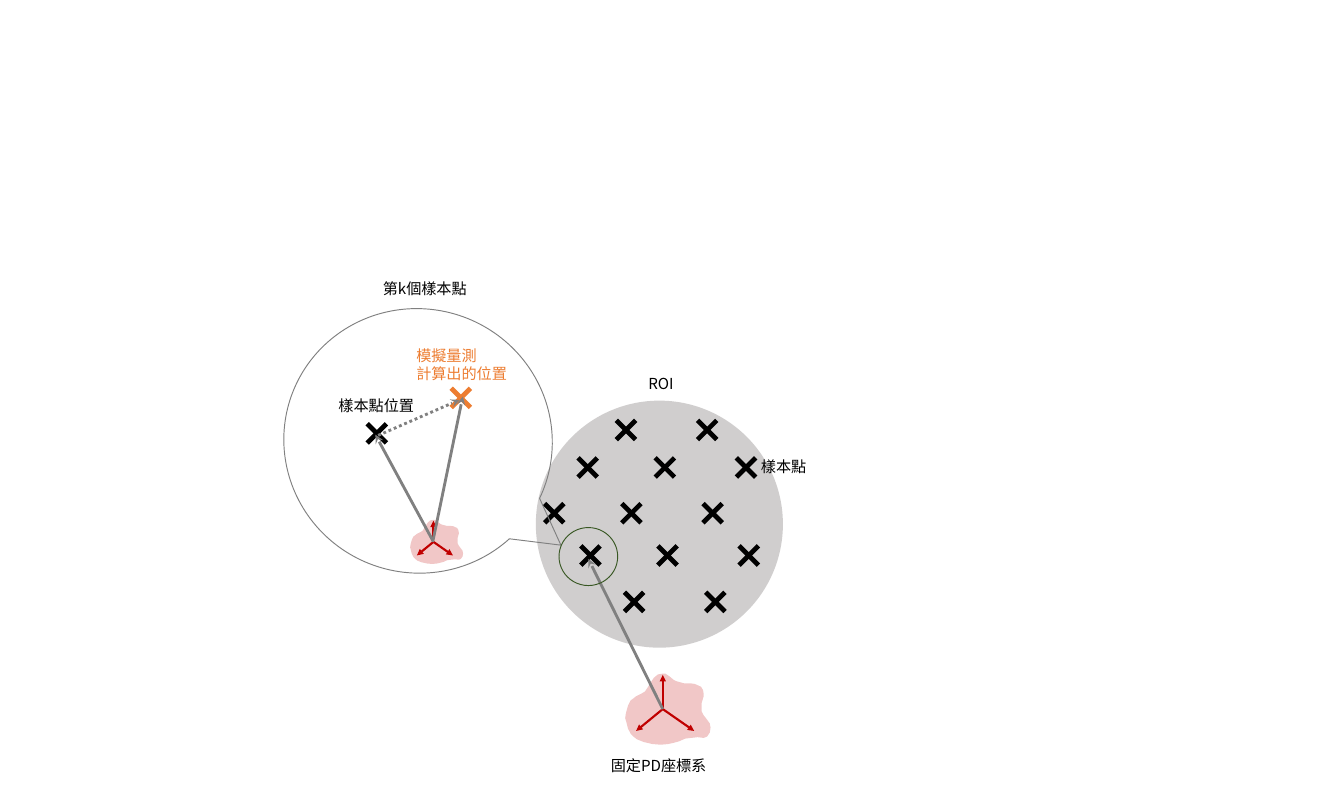
"""Draw the ROI sample point diagram with its magnified k-th sample point."""
import dataclasses
import math
import typing

import lxml.etree
import pptx
import pptx.dml.color
import pptx.enum.dml
import pptx.enum.shapes
import pptx.enum.text
import pptx.oxml.ns
import pptx.util

Inches = pptx.util.Inches
Preset = pptx.enum.shapes.MSO_SHAPE
Point = tuple[float, float]


@dataclasses.dataclass(frozen=True)
class Theme:
    """Colours, font and sizes of the diagram."""
    font: str = "Noto Sans CJK SC"
    text_size: float = 16
    ink: str = "000000"
    roi: str = "D0CECE"
    vector: str = "808080"
    frame: str = "C00000"
    simulated: str = "ED7D31"
    selection: str = "385723"
    outline_width: float = 1
    axis_width: float = 2.25
    vector_width: float = 3
    blob_alpha: int = 22000


@dataclasses.dataclass(frozen=True)
class Label:
    """A text label with one line per paragraph."""
    lines: tuple[str, ...]
    box: tuple[float, float, float, float]
    color: str


@dataclasses.dataclass(frozen=True)
class Arrow:
    """A straight arrow between two points."""
    start: Point
    end: Point
    color: str
    width: float
    head: str
    dotted: bool = False


@dataclasses.dataclass(frozen=True)
class SampleRow:
    """A row of sample points placed around its middle column."""
    middle: float
    y: float
    columns: tuple[float, ...]


THEME = Theme()
BLOB_TILT = 19.9
BLOB_CENTER = (0.125, 0.065)
BLOB_OUTLINE = (
    (-.01, -.52), (.04, -.52), (.10, -.48), (.16, -.43), (.20, -.41), (.31, -.38),
    (.40, -.38), (.47, -.37), (.56, -.33), (.59, -.28), (.60, -.22), (.60, -.19),
    (.57, -.09), (.57, .03), (.60, .09), (.64, .14), (.69, .21), (.70, .27),
    (.69, .34), (.65, .40), (.60, .42), (.51, .41), (.42, .42), (.33, .43),
    (.24, .47), (.17, .49), (.08, .51), (-.03, .52), (-.15, .51), (-.28, .48),
    (-.38, .44), (-.43, .40), (-.47, .36), (-.51, .28), (-.53, .20), (-.55, .13),
    (-.54, .06), (-.51, -.05), (-.47, -.13), (-.44, -.15), (-.39, -.19), (-.31, -.23),
    (-.26, -.26), (-.22, -.32), (-.17, -.40), (-.13, -.46), (-.07, -.51),
)
AXIS_TIPS = ((0, -0.5), (0.46, 0.32), (-0.39, 0.32))
LEFT, MIDDLE, RIGHT = -1.13, 0, 1.19
SAMPLE_ROWS = (
    SampleRow(9.17, 6.3, (MIDDLE, RIGHT)),
    SampleRow(9.74, 6.85, (MIDDLE, RIGHT, LEFT)),
    SampleRow(9.25, 7.52, (MIDDLE, RIGHT, LEFT)),
    SampleRow(9.78, 8.14, (MIDDLE, RIGHT, LEFT)),
    SampleRow(9.29, 8.82, (MIDDLE, RIGHT)),
)


def rgb(color: str) -> pptx.dml.color.RGBColor:
    """Turn a hex string into a colour."""
    return pptx.dml.color.RGBColor.from_string(color)


def add_child(parent: typing.Any, tag: str, **attributes: str) -> None:
    """Append a DrawingML element."""
    lxml.etree.SubElement(parent, pptx.oxml.ns.qn(tag), attributes)


def paint(shape: typing.Any, fill: str | None = None, line: str | None = None) -> None:
    """Give a shape its fill and outline and no shadow."""
    shape.shadow.inherit = False
    if fill:
        shape.fill.solid()
        shape.fill.fore_color.rgb = rgb(fill)
    else:
        shape.fill.background()
    if line:
        shape.line.color.rgb = rgb(line)
        shape.line.width = pptx.util.Pt(THEME.outline_width)
    else:
        shape.line.fill.background()


def add_preset(shapes: typing.Any, preset: Preset, box: tuple[float, float, float, float],
               fill: str | None = None, line: str | None = None, rotation: float = 0) -> None:
    """Add a painted preset shape."""
    shape = shapes.add_shape(preset, *map(Inches, box))
    shape.rotation = rotation
    paint(shape, fill, line)


def add_label(shapes: typing.Any, label: Label) -> None:
    """Add a text label."""
    frame = shapes.add_textbox(*map(Inches, label.box)).text_frame
    frame.word_wrap = True
    frame.auto_size = pptx.enum.text.MSO_AUTO_SIZE.SHAPE_TO_FIT_TEXT
    for index, line in enumerate(label.lines):
        paragraph = frame.add_paragraph() if index else frame.paragraphs[0]
        run = paragraph.add_run()
        run.text = line
        run.font.size = pptx.util.Pt(THEME.text_size)
        run.font.color.rgb = rgb(label.color)
        run.font.name = THEME.font
        add_child(run._r.get_or_add_rPr(), "a:ea", typeface=THEME.font)


def add_arrow(shapes: typing.Any, arrow: Arrow) -> None:
    """Add a straight arrow."""
    connector = shapes.add_connector(pptx.enum.shapes.MSO_CONNECTOR.STRAIGHT,
                                     *map(Inches, arrow.start + arrow.end))
    connector.line.color.rgb = rgb(arrow.color)
    connector.line.width = pptx.util.Pt(arrow.width)
    if arrow.dotted:
        connector.line.dash_style = pptx.enum.dml.MSO_LINE.ROUND_DOT
    properties = connector._element.spPr
    add_child(properties.find(pptx.oxml.ns.qn("a:ln")), "a:tailEnd", type=arrow.head)
    add_child(properties, "a:effectLst")


def add_cross(shapes: typing.Any, x: float, y: float, color: str) -> None:
    """Add a cross made of two grouped bars."""
    cross = shapes.add_group_shape().shapes
    for angle in (45, 135):
        add_preset(cross, Preset.RECTANGLE, (x - 0.2, y - 0.035, 0.4, 0.07), color, rotation=angle)


def add_frame(shapes: typing.Any, origin: Point, scale: float) -> None:
    """Add a coordinate frame: a tilted blob and three axes."""
    tilt = math.radians(BLOB_TILT)
    center_x, center_y = BLOB_CENTER
    outline = []
    for x, y in BLOB_OUTLINE:
        dx, dy = x - center_x, y - center_y
        local_x = center_x + dx * math.cos(tilt) + dy * math.sin(tilt)
        local_y = center_y - dx * math.sin(tilt) + dy * math.cos(tilt)
        outline.append((Inches(origin[0] + scale * local_x), Inches(origin[1] + scale * local_y)))
    builder = shapes.build_freeform(*outline[0], scale=1.0)
    builder.add_line_segments(outline[1:], close=True)
    blob = builder.convert_to_shape()
    blob.rotation = BLOB_TILT
    paint(blob, THEME.frame)
    add_child(blob.fill._xPr.find(".//" + pptx.oxml.ns.qn("a:srgbClr")), "a:alpha",
              val=str(THEME.blob_alpha))
    for x, y in AXIS_TIPS:
        tip = (origin[0] + scale * x, origin[1] + scale * y)
        add_arrow(shapes, Arrow(origin, tip, THEME.frame, THEME.axis_width, "triangle"))


def add_vector(shapes: typing.Any, start: Point, end: Point, dotted: bool = False) -> None:
    """Add a grey position vector."""
    add_arrow(shapes, Arrow(start, end, THEME.vector, THEME.vector_width, "stealth", dotted))


def main() -> None:
    """Build and save the slide."""
    deck = pptx.Presentation()
    deck.slide_width, deck.slide_height = Inches(19.69), Inches(11.81)
    shapes = deck.slides.add_slide(deck.slide_layouts[6]).shapes

    add_preset(shapes, Preset.OVAL, (7.85, 5.87, 3.62, 3.62), THEME.roi)
    add_frame(shapes, (9.71, 10.39), 1)
    add_label(shapes, Label(("固定PD座標系",), (8.85, 11.04, 1.63, 0.37), THEME.ink))
    add_label(shapes, Label(("ROI",), (9.4, 5.44, 0.61, 0.37), THEME.ink))
    for row in SAMPLE_ROWS:
        for column in row.columns:
            add_cross(shapes, row.middle + column, row.y, THEME.ink)
    add_vector(shapes, (9.71, 10.39), (8.62, 8.19))
    add_label(shapes, Label(("樣本點",), (11.05, 6.65, 0.88, 0.37), THEME.ink))

    add_preset(shapes, Preset.OVAL_CALLOUT, (4.19, 4.49, 3.87, 3.94), line=THEME.vector, rotation=288)
    add_preset(shapes, Preset.OVAL, (8.19, 7.73, 0.86, 0.85), line=THEME.selection)
    add_cross(shapes, 5.52, 6.35, THEME.ink)
    add_label(shapes, Label(("樣本點位置",), (4.86, 5.76, 1.32, 0.37), THEME.ink))
    add_cross(shapes, 6.75, 5.83, THEME.simulated)
    add_frame(shapes.add_group_shape().shapes, (6.35, 7.94), 0.62)
    add_vector(shapes, (6.34, 7.92), (5.5, 6.37))
    add_vector(shapes, (6.34, 7.94), (6.78, 5.81))
    add_vector(shapes, (5.54, 6.38), (6.73, 5.86), dotted=True)
    add_label(shapes, Label(("第k個樣本點",), (5.51, 4.05, 1.44, 0.37), THEME.ink))
    add_label(shapes, Label(("模擬量測", "計算出的位置"), (6, 5.03, 1.55, 0.64), THEME.simulated))
    deck.save("out.pptx")


if __name__ == "__main__":
    main()
